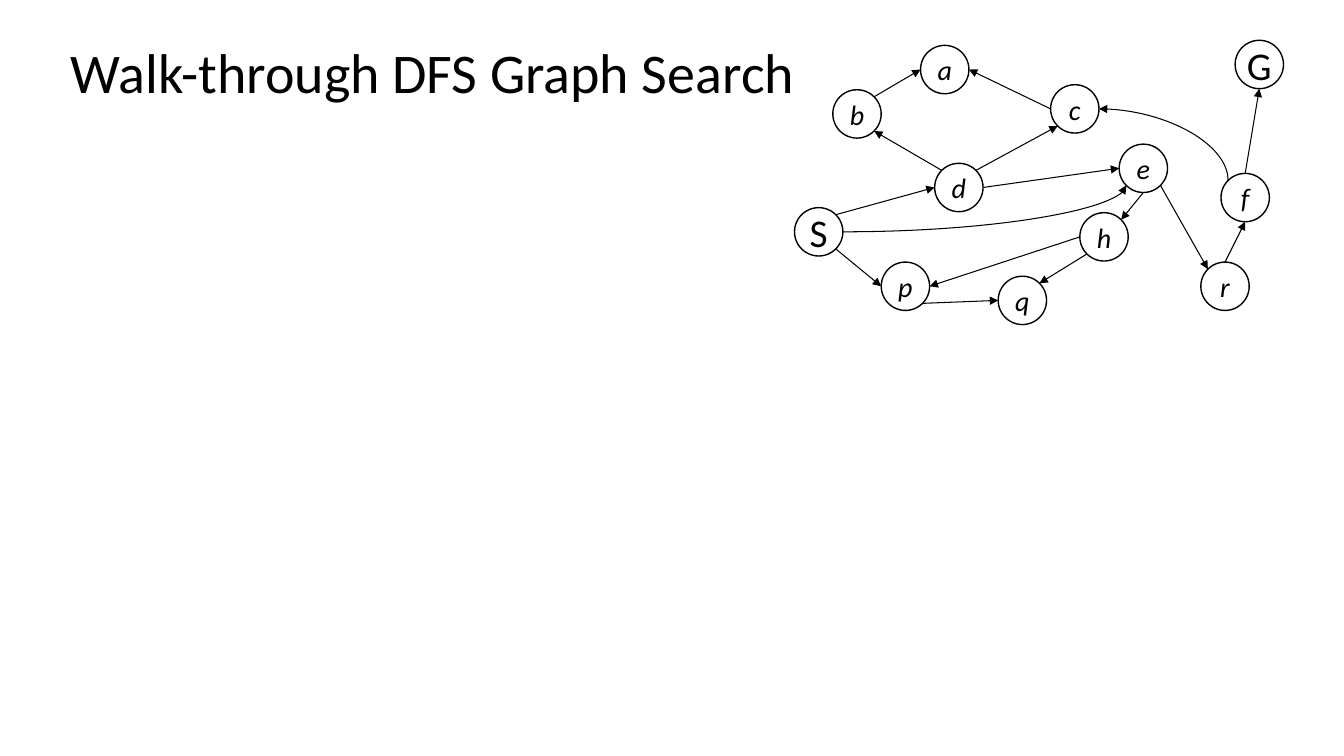
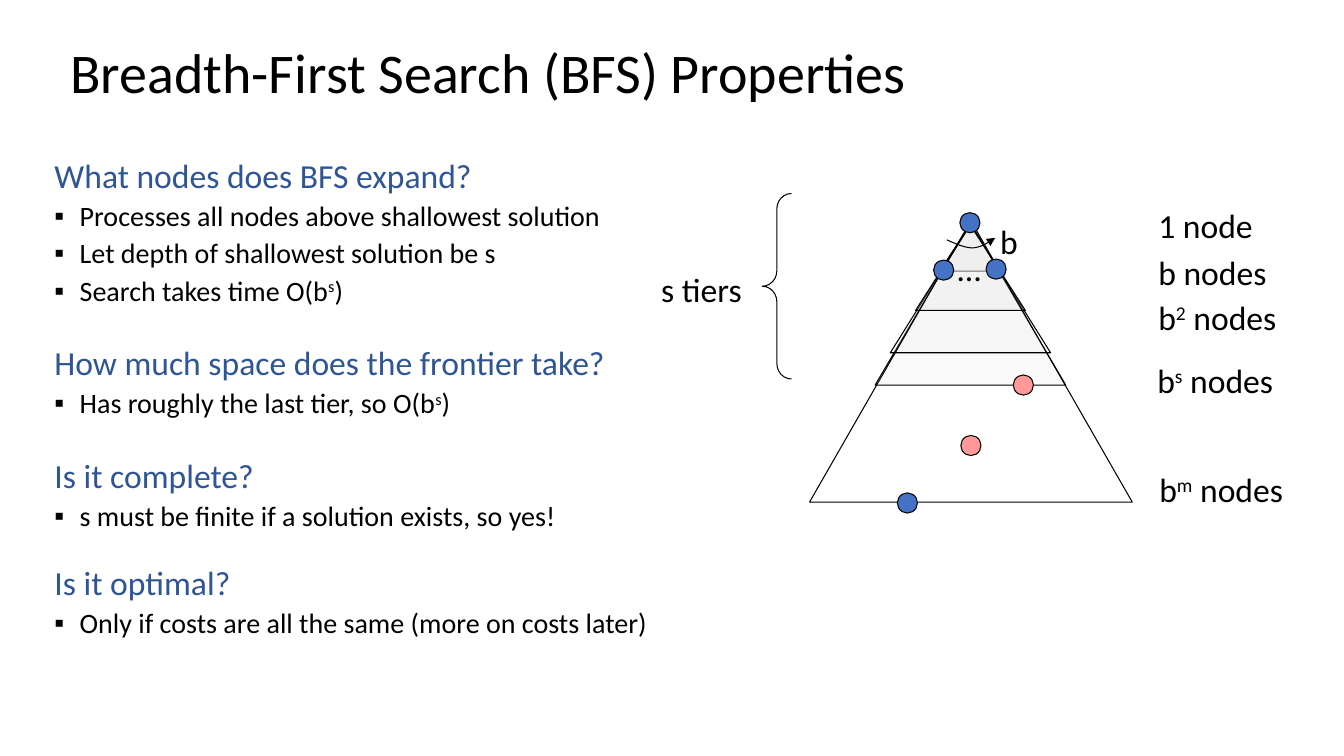
from math import cos, radians, sin

from pptx import Presentation
from pptx.dml.color import RGBColor
from pptx.enum.shapes import MSO_CONNECTOR as Link, MSO_SHAPE as Preset
from pptx.enum.text import MSO_ANCHOR as Anchor, MSO_AUTO_SIZE as AutoSize, PP_ALIGN as Align
from pptx.oxml.ns import qn
from pptx.oxml.xmlchemy import OxmlElement
from pptx.util import Inches, Pt

BLACK, BLUE, HEADING, PINK, GRAY = "000000", "4472C4", "2F5597", "FF9999", "E7E6E6"
NODE_SIZE = 0.48
PORTS = {"E": 0, "SE": 45, "S": 90, "SW": 135, "W": 180, "NW": 225, "N": 270, "NE": 315}

GRAPH_NODES = {
    "S": (7.88, 2.06), "G": (12.25, 0.4), "d": (9.27, 1.62), "b": (8.26, 0.89),
    "p": (8.74, 2.6), "q": (9.9, 2.74), "c": (10.42, 0.84), "e": (11.1, 1.43),
    "h": (10.71, 2.11), "a": (9.13, 0.45), "f": (12.11, 1.72), "r": (11.91, 2.6),
}
GRAPH_EDGES = [
    "S SE p W", "p SE q W", "h SW q NE", "h W p E", "e S h NE", "e SE r NW",
    "r N f S", "f N G S", "S NE d W", "d NW b SE", "b NE a W", "c W a E",
    "d NE c SW", "d E e W",
]
BFS_QUESTIONS = [
    ("What nodes does BFS expand?", 0, [
        "Processes all nodes above shallowest solution",
        "Let depth of shallowest solution be s",
        "Search takes time O(b^s^)"]),
    ("How much space does the frontier take?", 28, ["Has roughly the last tier, so O(b^s^)"]),
    ("Is it complete?", 28, ["s must be finite if a solution exists, so yes!"]),
    ("Is it optimal?", 24, ["Only if costs are all the same (more on costs later)"]),
]
TIERS = [(9.32, 2.23, 0.6, 0.46), (8.68, 2.21, 1.89, 1.61),
         (8.83, 2.23, 1.59, 1.27), (9.08, 2.23, 1.09, 0.85)]
TREE_NODES = [(9.52, 2.11, BLUE), (9.26, 2.58, BLUE), (9.78, 2.57, BLUE),
              (8.9, 4.89, BLUE), (10.05, 3.72, PINK), (9.53, 4.32, PINK)]
TREE_LABELS = [("…", 9.4, 2.41, 0.5), ("b", 9.82, 2.14, 0.4), ("s tiers", 6.46, 2.62, 1.38),
               ("1 node", 11.39, 1.98, 1.5), ("b nodes", 11.39, 2.45, 1.5),
               ("b^2^ nodes", 11.39, 2.9, 1.5), ("b^s^ nodes", 11.38, 3.52, 1.6),
               ("b^m^ nodes", 11.4, 4.6, 1.6)]


def color(value):
    return RGBColor.from_string(value)


def port(node, side):
    left, top = GRAPH_NODES[node]
    radius, angle = NODE_SIZE / 2, radians(PORTS[side])
    return left + radius * (1 + cos(angle)), top + radius * (1 + sin(angle))


class Deck:
    """Holds the shared style and the slide being filled."""

    def __init__(self):
        self.prs = Presentation()
        self.prs.slide_width, self.prs.slide_height = Inches(13.33), Inches(7.5)
        self.slide = None

    def place(self, holder, left, top, width, height):
        holder.left, holder.top = Inches(left), Inches(top)
        holder.width, holder.height = Inches(width), Inches(height)
        holder.text_frame.auto_size = AutoSize.NONE

    def set_text(self, paragraph, text, size, ink=BLACK, italic=False):
        for index, part in enumerate(text.split("^")):
            run = paragraph.add_run()
            run.text = part
            if index % 2:
                run._r.get_or_add_rPr().set("baseline", "30000")
        font = paragraph.font
        font.name, font.size, font.italic = "Calibri", Pt(size), italic
        font.color.rgb = color(ink)

    def new_slide(self, title, layout):
        self.slide = self.prs.slides.add_slide(self.prs.slide_layouts[layout])
        heading = self.slide.shapes.title
        self.place(heading, 0.6, 0.4, 11.5, 0.69)
        heading.text_frame.vertical_anchor = Anchor.MIDDLE
        paragraph = heading.text_frame.paragraphs[0]
        paragraph.alignment, paragraph.line_spacing = Align.LEFT, 0.9
        self.set_text(paragraph, title, 40)

    def body_line(self, frame, text, before, bulleted):
        paragraph = frame.paragraphs[0] if not frame.text else frame.add_paragraph()
        paragraph.level = int(bulleted)
        paragraph.line_spacing, paragraph.space_before = 0.9, Pt(before)
        props = paragraph._p.get_or_add_pPr()
        indent = Inches(0.25) if bulleted else 0
        props.set("marL", str(indent))
        props.set("indent", str(-indent))
        bullet = OxmlElement("a:buChar" if bulleted else "a:buNone")
        if bulleted:
            bullet.set("char", "▪")
        props.append(bullet)
        self.set_text(paragraph, text, 20 if bulleted else 24, BLACK if bulleted else HEADING)

    def questions(self, groups):
        body = self.slide.placeholders[1]
        self.place(body, 0.44, 1.53, 6.22, 5.17)
        for question, before, answers in groups:
            self.body_line(body.text_frame, question, before, False)
            for answer in answers:
                self.body_line(body.text_frame, answer, 5, True)

    def outline(self, item, width=0.75):
        item.line.color.rgb, item.line.width = color(BLACK), Pt(width)

    def arrowhead(self, item, end="a:tailEnd"):
        head = OxmlElement(end)
        head.set("type", "triangle")
        item._element.spPr.find(qn("a:ln")).append(head)

    def shape(self, preset, left, top, width, height, fill=None, opacity=None, weight=0.75):
        item = self.slide.shapes.add_shape(
            preset, Inches(left), Inches(top), Inches(width), Inches(height))
        item.shadow.inherit = False
        self.outline(item, weight)
        if fill is None:
            item.fill.background()
        else:
            item.fill.solid()
            item.fill.fore_color.rgb = color(fill)
        if opacity is not None:
            alpha = OxmlElement("a:alpha")
            alpha.set("val", str(opacity * 1000))
            item._element.spPr.find(qn("a:solidFill"))[0].append(alpha)
        return item

    def graph_node(self, name, left, top):
        node = self.shape(Preset.FLOWCHART_CONNECTOR, left, top, NODE_SIZE, NODE_SIZE, weight=1)
        frame = node.text_frame
        frame.word_wrap, frame.vertical_anchor = False, Anchor.MIDDLE
        frame.margin_left = frame.margin_right = frame.margin_top = frame.margin_bottom = 0
        paragraph = frame.paragraphs[0]
        paragraph.alignment = Align.CENTER
        self.set_text(paragraph, name, 28 if name.isupper() else 20, italic=name.islower())

    def edge(self, route, curved=False, end="a:tailEnd"):
        source, source_side, target, target_side = route.split()
        ends = port(source, source_side) + port(target, target_side)
        link = self.slide.shapes.add_connector(
            Link.CURVE if curved else Link.STRAIGHT, *map(Inches, ends))
        props = link._element.spPr
        if curved:
            props.find(qn("a:prstGeom")).set("prst", "curvedConnector2")
        self.outline(link)
        self.arrowhead(link, end)
        props.append(OxmlElement("a:effectLst"))

    def arc(self, start, *controls):
        points = [(Inches(x), Inches(y)) for x, y in controls]
        builder = self.slide.shapes.build_freeform(Inches(start[0]), Inches(start[1]))
        curve = builder.add_line_segments(points, close=False).convert_to_shape()
        outline = curve._element.spPr.find(".//" + qn("a:path"))
        segments = outline.findall(qn("a:lnTo"))
        for first in range(0, len(segments), 3):
            bezier = OxmlElement("a:cubicBezTo")
            for segment in segments[first:first + 3]:
                bezier.append(segment[0])
                outline.remove(segment)
            outline.append(bezier)
        curve.shadow.inherit = False
        curve.fill.background()
        self.outline(curve)
        self.arrowhead(curve)

    def label(self, text, left, top, width):
        box = self.slide.shapes.add_textbox(
            Inches(left), Inches(top), Inches(width), Inches(0.5))
        box.text_frame.word_wrap = True
        self.set_text(box.text_frame.paragraphs[0], text, 24)


def dfs_walkthrough(deck):
    deck.new_slide("Walk-through DFS Graph Search", 5)
    for name, corner in GRAPH_NODES.items():
        deck.graph_node(name, *corner)
    for route in GRAPH_EDGES:
        deck.edge(route)
    deck.edge("S E e SW", curved=True)
    deck.edge("c E f NW", curved=True, end="a:headEnd")


def bfs_properties(deck):
    deck.new_slide("Breadth-First Search (BFS) Properties", 1)
    for tier in TIERS:
        deck.shape(Preset.ISOSCELES_TRIANGLE, *tier, fill=GRAY, opacity=20)
    deck.questions(BFS_QUESTIONS)
    deck.shape(Preset.ISOSCELES_TRIANGLE, 8.03, 2.19, 3.2, 2.79)
    for left, top, fill in TREE_NODES:
        deck.shape(Preset.OVAL, left, top, 0.2, 0.2, fill)
    deck.arc((9.39, 2.38), (9.48, 2.42), (9.57, 2.46), (9.65, 2.46),
             (9.73, 2.45), (9.8, 2.41), (9.87, 2.36))
    brace = deck.shape(Preset.LEFT_BRACE, 7.56, 1.92, 0.29, 1.84)
    brace.adjustments[0] = 0.53
    for label in TREE_LABELS:
        deck.label(*label)


def main():
    deck = Deck()
    dfs_walkthrough(deck)
    bfs_properties(deck)
    deck.prs.save("out.pptx")


if __name__ == "__main__":
    main()
